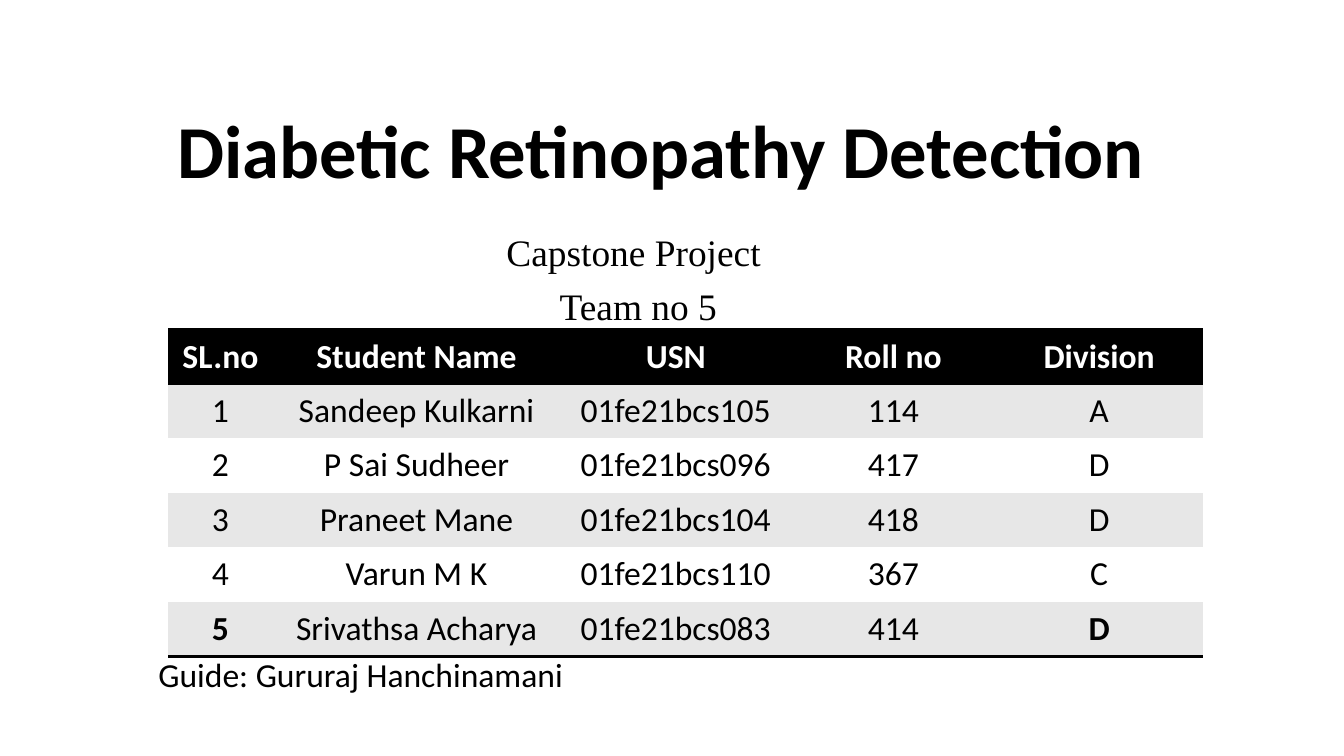
from dataclasses import dataclass

import lxml.etree
import pptx
import pptx.dml.color
import pptx.enum.text
import pptx.oxml.ns
import pptx.util

Pt = pptx.util.Pt
Color = pptx.dml.color.RGBColor
Align = pptx.enum.text.PP_ALIGN
Anchor = pptx.enum.text.MSO_ANCHOR

BLACK = Color(0x00, 0x00, 0x00)
WHITE = Color(0xFF, 0xFF, 0xFF)
GREY = Color(0xE7, 0xE7, 0xE7)

COLS = [56.2, 154, 123.8, 109.4, 111]
ROW = 29.2
HEAD = ["SL.no", "Student Name", "USN", "Roll no", "Division"]
TEAM = [
    ["1", "Sandeep Kulkarni", "01fe21bcs105", "114", "A"],
    ["2", "P Sai Sudheer", "01fe21bcs096", "417", "D"],
    ["3", "Praneet Mane", "01fe21bcs104", "418", "D"],
    ["4", "Varun M K", "01fe21bcs110", "367", "C"],
    ["5", "Srivathsa Acharya", "01fe21bcs083", "414", "D"],
]


@dataclass
class Label:
    lines: list[str]
    left: float
    top: float
    width: float
    height: float
    size: float
    face: str = "Calibri"
    bold: bool = False
    align: Align = Align.CENTER
    anchor: Anchor = Anchor.TOP
    gap: float = 0


LABELS = [
    Label(["Diabetic Retinopathy Detection"], 48, 34.5, 612, 90, 40,
          bold=True, anchor=Anchor.MIDDLE),
    Label(["Capstone Project ", "Team no 5"], 90, 119, 504, 70, 20,
          face="Times New Roman", gap=5),
    Label(["Guide: Gururaj Hanchinamani"], 77.8, 347, 504, 36, 18,
          align=Align.LEFT),
]


def style(para, align: Align, color: Color, size: float,
          face: str = "Calibri", bold: bool = False) -> None:
    para.alignment = align
    form = {"name": face, "size": Pt(size), "bold": bold}
    for key, value in form.items():
        setattr(para.font, key, value)
    para.font.color.rgb = color


def write(slide, label: Label) -> None:
    box = slide.shapes.add_textbox(
        *map(Pt, (label.left, label.top, label.width, label.height)))
    frame = box.text_frame
    form = {"word_wrap": True, "vertical_anchor": label.anchor,
            "text": "\n".join(label.lines)}
    for key, value in form.items():
        setattr(frame, key, value)
    for para in frame.paragraphs:
        style(para, label.align, BLACK, label.size, label.face, label.bold)
    for para in frame.paragraphs[1:]:
        para.space_before = Pt(label.gap)


def border(cell, sides: str) -> None:
    name = pptx.oxml.ns.qn
    props = cell._tc.get_or_add_tcPr()
    for side in "LRTB":
        line = lxml.etree.SubElement(props, name(f"a:ln{side}"))
        if side in sides:
            line.set("w", str(Pt(2)))
            fill = lxml.etree.SubElement(line, name("a:solidFill"))
            lxml.etree.SubElement(fill, name("a:srgbClr"), val=str(BLACK))
        else:
            lxml.etree.SubElement(line, name("a:noFill"))


def grid(slide, rows: list[list[str]]) -> None:
    last = len(rows) - 1
    table = slide.shapes.add_table(
        len(rows), len(COLS), Pt(90), Pt(176.4),
        Pt(sum(COLS)), Pt(ROW * len(rows))).table
    for col, width in zip(table.columns, COLS):
        col.width = Pt(width)
    for r, row in enumerate(rows):
        table.rows[r].height = Pt(ROW)
        sides = {0: "TB", 1: "T", last: "B"}.get(r, "")
        back = BLACK if r == 0 else GREY if r % 2 else WHITE
        for c, text in enumerate(row):
            cell = table.cell(r, c)
            cell.text = text
            border(cell, sides)
            cell.fill.solid()
            cell.fill.fore_color.rgb = back
            bold = r == 0 or (r == last and c in (0, len(row) - 1))
            style(cell.text_frame.paragraphs[0], Align.CENTER,
                  BLACK if r else WHITE, 18, bold=bold)


def main() -> None:
    deck = pptx.Presentation()
    deck.slide_width = Pt(720)
    deck.slide_height = Pt(405)
    slide = deck.slides.add_slide(deck.slide_layouts[6])
    for label in LABELS:
        write(slide, label)
    grid(slide, [HEAD, *TEAM])
    deck.save("out.pptx")


if __name__ == "__main__":
    main()
